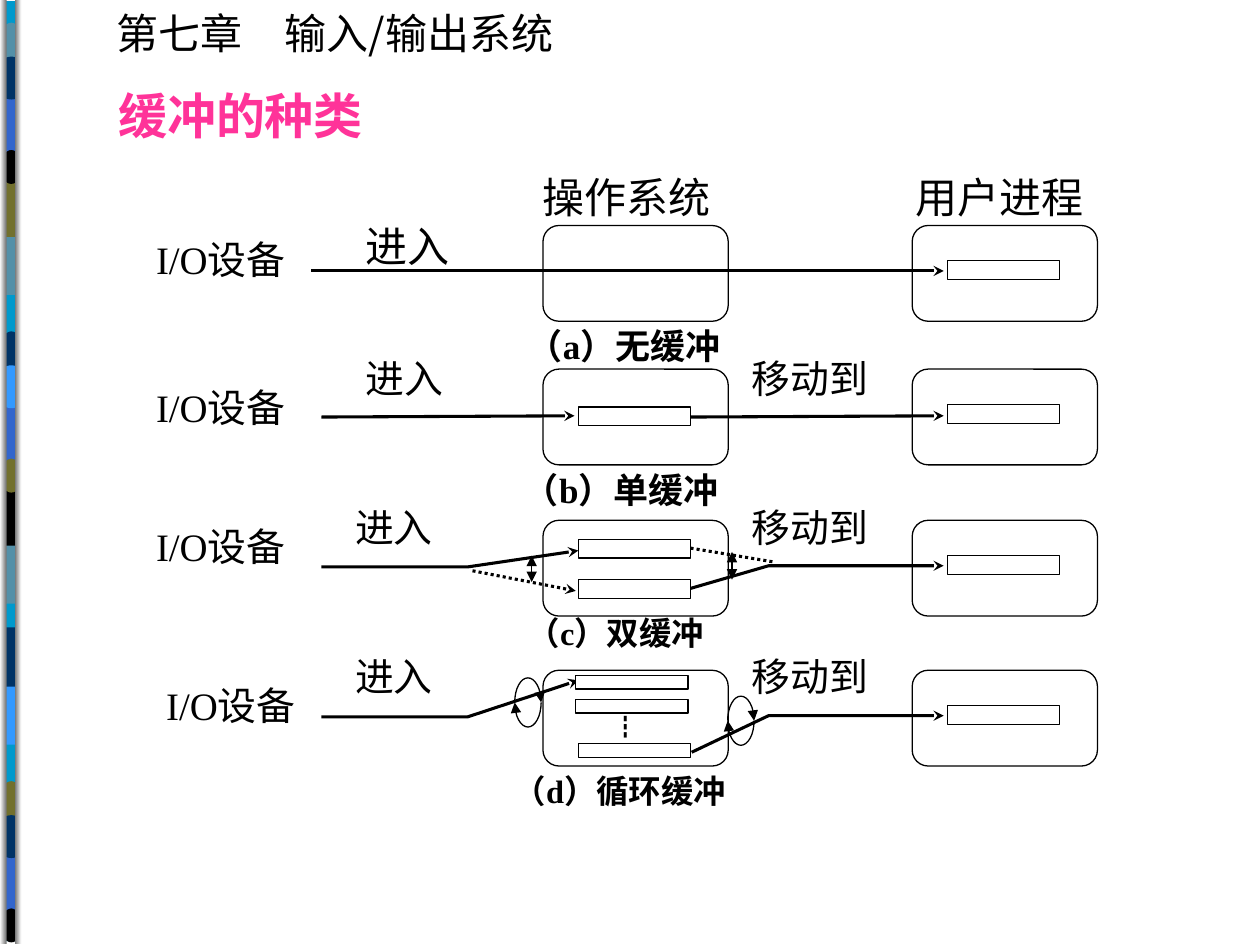
from dataclasses import dataclass
from math import cos, pi, sin
from typing import NamedTuple, Optional

from lxml.etree import SubElement
from pptx import Presentation
from pptx.dml.color import RGBColor
from pptx.enum.dml import MSO_LINE_DASH_STYLE as Dash
from pptx.enum.shapes import MSO_CONNECTOR, MSO_SHAPE
from pptx.enum.text import PP_ALIGN
from pptx.oxml.ns import qn
from pptx.util import Inches, Pt

COLUMNS = 100
SLIDE_WIDTH, SLIDE_HEIGHT = Inches(10), Inches(7.5)
CELL = SLIDE_WIDTH / COLUMNS

BLACK = RGBColor(0, 0, 0)
WHITE = RGBColor(255, 255, 255)
GREY = RGBColor(0x76, 0x76, 0x76)
PINK = RGBColor(0xFF, 0x33, 0x99)
CYAN = RGBColor(0x00, 0x99, 0xCC)
TEAL = RGBColor(0x54, 0x90, 0xA8)
OLIVE = RGBColor(0x72, 0x70, 0x2E)
BLUE = RGBColor(0x33, 0x66, 0xCC)
NAVY = RGBColor(0x00, 0x33, 0x66)
SKY = RGBColor(0x33, 0x99, 0xFF)

CJK, SERIF = "Noto Sans CJK SC", "Times New Roman"
THICK, THIN = 1.75, 0.75
OS_LEFT, USER_LEFT = 43.1, 72.4
PANEL_WIDTH, PANEL_HEIGHT = 14.7, 7.6
SLOT_WIDTH = 8.9


class Point(NamedTuple):
    x: float
    y: float


class Band(NamedTuple):
    top: float
    bottom: float
    top_bulge: float
    bottom_bulge: float


class Label(NamedTuple):
    text: str
    left: float
    top: float
    width: float
    height: float
    size: float = 22.2
    bold: bool = False
    font: str = SERIF
    color: RGBColor = BLACK
    align: Optional[PP_ALIGN] = PP_ALIGN.JUSTIFY
    spacing: Optional[float] = None
    wrap: bool = True


class Flow(NamedTuple):
    points: tuple
    head: Optional[str] = None
    tail: Optional[str] = "stealth"
    width: float = THICK
    dash: Optional[Dash] = None


@dataclass
class Stage:
    top: float
    flows: tuple
    slots: tuple = ()
    slot_height: float = 1.5
    slot_fill: Optional[RGBColor] = None


BANDS = (
    Band(18.7, 23.4, 0, 0),
    Band(14.1, 18.8, 0, 0),
    Band(2.2, 4.6, -0.4, 0.3),
    Band(10.9, 14.2, 0.2, 0.4),
    Band(7.6, 12.3, 0, -0.4),
    Band(4.7, 7.7, -0.2, 0.2),
)
BAND_RUNS = (
    (0, BANDS, (TEAL, OLIVE, TEAL, BLACK, BLUE, NAVY)),
    (24.5, BANDS, (TEAL, BLACK, NAVY, OLIVE, BLUE, SKY)),
    (35.7, BANDS[:2], (SKY, NAVY)),
    (60.2, BANDS[2:], (OLIVE, BLACK, BLUE, NAVY)),
)


def half_loop(center: Point, start: float) -> tuple:
    angles = [start + pi * step / 16 for step in range(17)]
    return tuple(Point(center.x + 1.05 * cos(a), center.y + 1.95 * sin(a)) for a in angles)


def loop(center: Point) -> tuple:
    return tuple(Flow(half_loop(center, start), tail="triangle", width=THIN) for start in (pi, 0))


def swing(x: float, top: float, bottom: float) -> Flow:
    return Flow((Point(x, top), Point(x, bottom)), "triangle", "triangle", THIN)


STAGES = (
    Stage(17.9, (Flow((Point(24.7, 21.5), Point(74.9, 21.5))),)),
    Stage(29.3, (Flow((Point(25.5, 33.1), Point(45.6, 33))),
                 Flow((Point(54.8, 33.1), Point(74.9, 33)))),
          (Point(45.9, 32.3),)),
    Stage(41.3, (Flow((Point(54.8, 46.7), Point(61, 44.9), Point(74.9, 44.9))),
                 Flow((Point(25.5, 45), Point(37.1, 45), Point(45.9, 43.7))),
                 Flow((Point(37.5, 45.3), Point(45.7, 46.9)), dash=Dash.ROUND_DOT),
                 Flow((Point(54.8, 43.5), Point(61.4, 44.6)), tail=None, dash=Dash.ROUND_DOT),
                 swing(42.2, 44.1, 46.2), swing(58.1, 43.8, 46)),
          (Point(45.9, 42.8), Point(45.9, 46))),
    Stage(53.2, (*loop(Point(41.9, 55.75)), *loop(Point(58.8, 57.2)),
                 Flow((Point(54.9, 59.7), Point(61, 56.8), Point(74.9, 56.8))),
                 Flow((Point(25.5, 56.9), Point(37.1, 56.9), Point(45.9, 54)))),
          (Point(45.7, 53.6), Point(45.7, 55.5), Point(45.9, 59)), 1.1, WHITE),
)

LABELS = (
    Label("第七章\u3000输入/输出系统", 8.3, 0.1, 38.9, 5, 24, font=CJK, align=None, wrap=False),
    Label("缓冲的种类", 8.4, 6.3, 44, 6.1, 28, True, CJK, PINK, None),
    Label("操作系统", 42.1, 13.1, 18.1, 5.2, 24),
    Label("用户进程", 71.7, 13.1, 16.1, 5.3, 24),
    Label("进入", 28, 17, 10.9, 5.2, 24),
    *(Label("I/O设备", left, top, 14.9, 4.7, spacing=0.9)
      for left, top in ((11.4, 18.6), (11.4, 30.4), (11.4, 41.4), (12.2, 54))),
    *(Label("进入", left, top, 10.2, 4.7, spacing=0.9)
      for left, top in ((28, 28.1), (27.2, 39.9), (27.2, 51.7))),
    *(Label("移动到", 58.7, top, 13.4, 4.9, spacing=0.9) for top in (28.1, 39.9, 51.7)),
    Label("（a）无缓冲", 40.9, 25.3, 19.4, 4.8, 20, True),
    Label("（b）单缓冲", 40.6, 36.7, 20.5, 4.7, 20, True),
    Label("（c）双缓冲", 40.9, 48.5, 17.8, 4.8, 18.5, True, spacing=0.9),
    Label("（d）循环缓冲", 39.8, 61.1, 20.7, 4.7, 18.5, True, spacing=0.9),
    Label("┇", 47.7, 56, 4.7, 3.5, 14, True, CJK),
)


def grid(*cells: float) -> list:
    return [round(cell * CELL) for cell in cells]


def outline(shapes, points, closed: bool):
    first, *rest = [tuple(grid(*point)) for point in points]
    builder = shapes.build_freeform(*first, scale=1.0)
    builder.add_line_segments(rest, close=closed)
    shape = builder.convert_to_shape()
    shape.shadow.inherit = False
    return shape


def draw_band(shapes, band: Band, offset: float, color: RGBColor) -> None:
    shares = [step / 8 for step in range(9)]

    def edge(level: float, bulge: float) -> list:
        return [Point(0.2 + 1.4 * s, offset + level + bulge * sin(pi * s)) for s in shares]

    points = edge(band.top, band.top_bulge) + edge(band.bottom, band.bottom_bulge)[::-1]
    stripe = outline(shapes, points, True)
    stripe.fill.solid()
    stripe.fill.fore_color.rgb = color
    stripe.line.fill.background()


def draw_rail(shapes, left: float, colors: tuple) -> None:
    rail = shapes.add_shape(MSO_SHAPE.RECTANGLE, *grid(left, 0, 0.5, 74.9))
    rail.shadow.inherit = False
    rail.line.fill.background()
    rail.fill.gradient()
    rail.fill.gradient_angle = 0
    for stop, color in zip(rail.fill.gradient_stops, colors):
        stop.color.rgb = color


def draw_box(shapes, kind: MSO_SHAPE, cells: tuple, fill: Optional[RGBColor] = None) -> None:
    box = shapes.add_shape(kind, *grid(*cells))
    box.shadow.inherit = False
    box.line.color.rgb, box.line.width = BLACK, Pt(THIN)
    if fill is None:
        box.fill.background()
    else:
        box.fill.solid()
        box.fill.fore_color.rgb = fill


def draw_flow(shapes, flow: Flow) -> None:
    if len(flow.points) == 2:
        start, end = flow.points
        route = shapes.add_connector(MSO_CONNECTOR.STRAIGHT, *grid(*start, *end))
        SubElement(route.element.spPr, qn("a:effectLst"))
    else:
        route = outline(shapes, flow.points, False)
        route.fill.background()
    route.line.color.rgb, route.line.width = BLACK, Pt(flow.width)
    if flow.dash:
        route.line.dash_style = flow.dash
    stroke = route.element.spPr.find(qn("a:ln"))
    for tag, kind in (("a:headEnd", flow.head), ("a:tailEnd", flow.tail)):
        if kind:
            SubElement(stroke, qn(tag), type=kind)


def draw_label(shapes, label: Label) -> None:
    frame = shapes.add_textbox(*grid(label.left, label.top, label.width, label.height)).text_frame
    frame.word_wrap = label.wrap
    paragraph = frame.paragraphs[0]
    paragraph.alignment, paragraph.line_spacing = label.align, label.spacing
    run = paragraph.add_run()
    run.text = label.text
    font = run.font
    font.name, font.size, font.bold = label.font, Pt(label.size), label.bold
    font.color.rgb = label.color
    SubElement(run.font.element if hasattr(font, "element") else run._r.rPr,
               qn("a:ea"), typeface=CJK)


def draw_stage(shapes, stage: Stage) -> None:
    for left in (OS_LEFT, USER_LEFT):
        draw_box(shapes, MSO_SHAPE.ROUNDED_RECTANGLE, (left, stage.top, PANEL_WIDTH, PANEL_HEIGHT))
    draw_box(shapes, MSO_SHAPE.RECTANGLE, (75.2, stage.top + 2.8, SLOT_WIDTH, 1.5))
    for flow in stage.flows:
        draw_flow(shapes, flow)
    for slot in stage.slots:
        draw_box(shapes, MSO_SHAPE.RECTANGLE, (*slot, SLOT_WIDTH, stage.slot_height), stage.slot_fill)


def main() -> None:
    deck = Presentation()
    deck.slide_width, deck.slide_height = SLIDE_WIDTH, SLIDE_HEIGHT
    shapes = deck.slides.add_slide(deck.slide_layouts[6]).shapes
    draw_band(shapes, Band(0.1, 74.7, 0, 0), 0, CYAN)
    for offset, bands, colors in BAND_RUNS:
        for band, color in zip(bands, colors):
            draw_band(shapes, band, offset, color)
    draw_rail(shapes, 0, (WHITE, GREY))
    draw_rail(shapes, 1.2, (GREY, WHITE))
    for stage in STAGES:
        draw_stage(shapes, stage)
    for label in LABELS:
        draw_label(shapes, label)
    deck.save("out.pptx")


if __name__ == "__main__":
    main()
